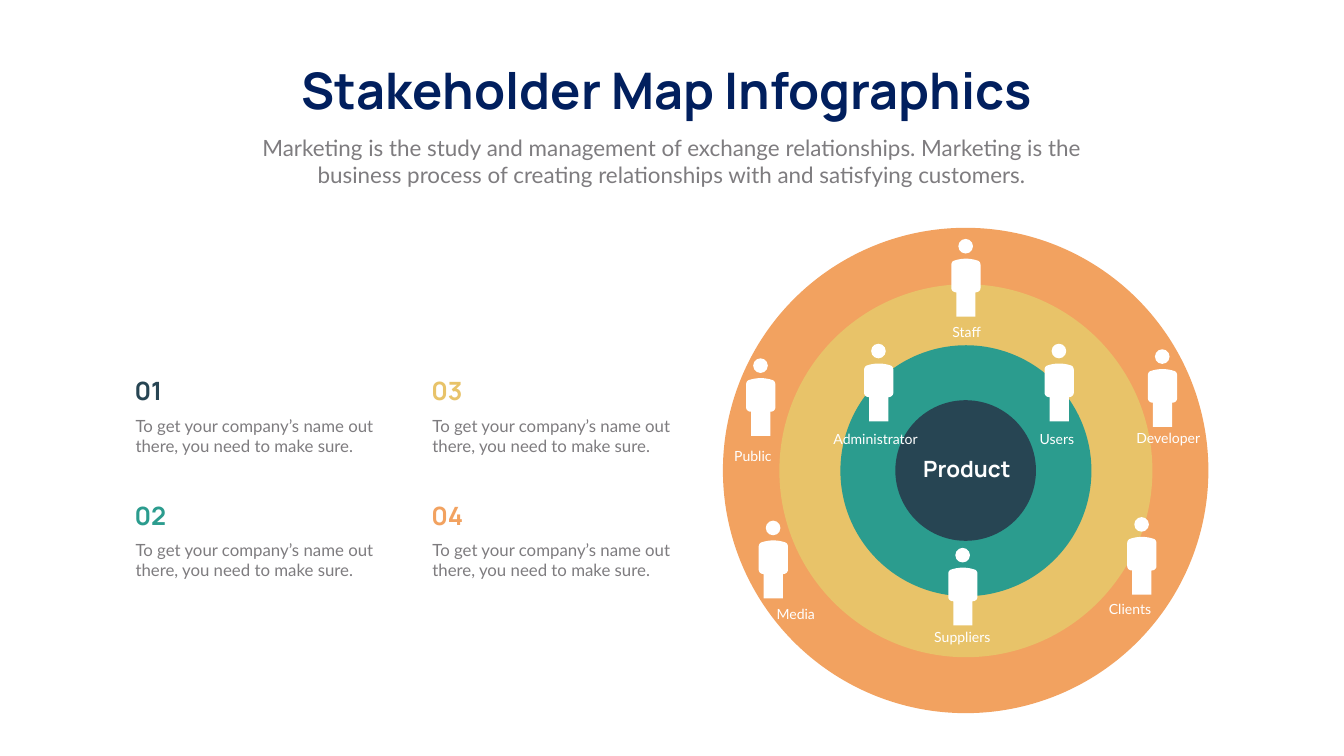
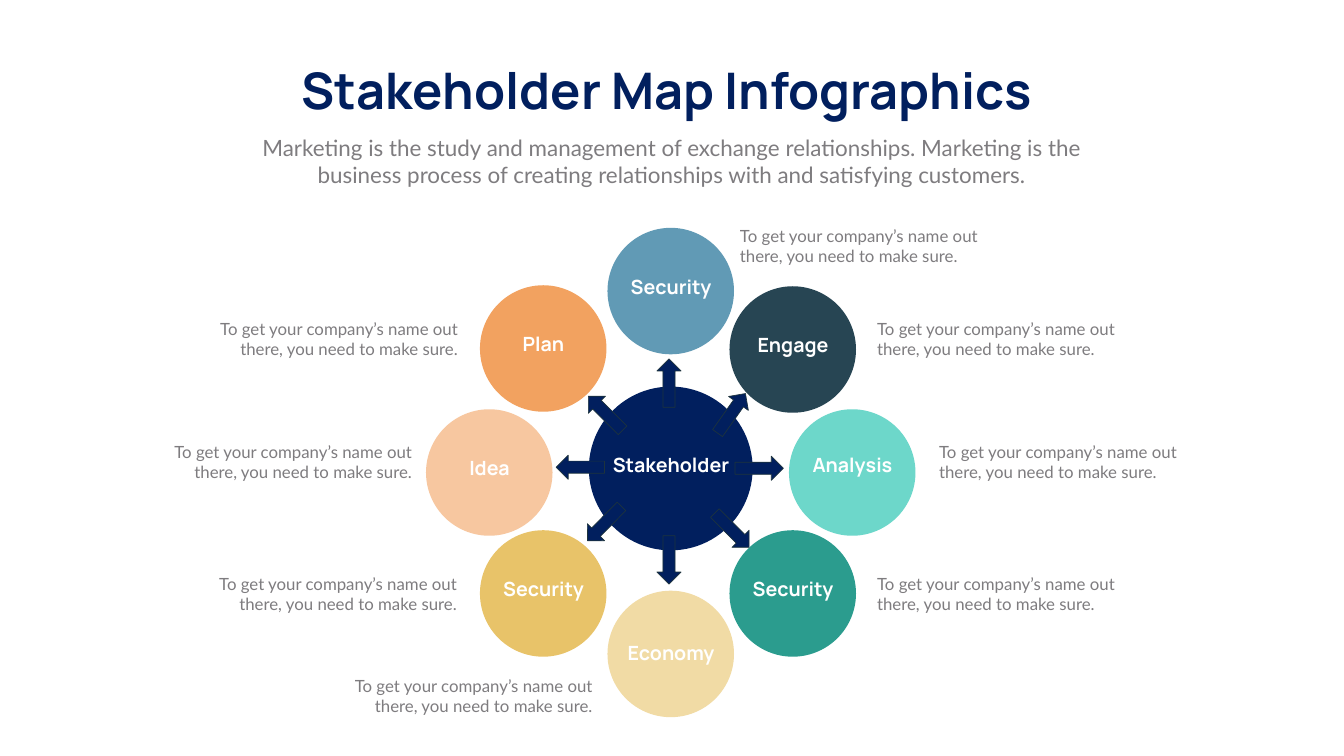
from dataclasses import dataclass, replace
from typing import Any, Optional

from pptx import Presentation
from pptx import util as u
from pptx.dml.color import RGBColor
from pptx.enum import shapes, text

PX = 9144

NAVY = RGBColor(0x01, 0x1F, 0x5E)
SLATE = RGBColor(0x27, 0x45, 0x53)
TEAL = RGBColor(0x2B, 0x9C, 0x8E)
GOLD = RGBColor(0xE8, 0xC3, 0x69)
ORANGE = RGBColor(0xF2, 0xA2, 0x60)
BLUE = RGBColor(0x61, 0x9A, 0xB5)
SAND = RGBColor(0xF1, 0xDB, 0xA5)
MINT = RGBColor(0x6D, 0xD7, 0xCA)
PEACH = RGBColor(0xF7, 0xC7, 0xA0)
GREY = RGBColor(0x7E, 0x7C, 0x7F)
WHITE = RGBColor(0xFF, 0xFF, 0xFF)
ARROW_EDGE = RGBColor(0x1D, 0x33, 0x3D)

LEFT, CENTER, RIGHT = text.PP_ALIGN.LEFT, text.PP_ALIGN.CENTER, text.PP_ALIGN.RIGHT
OVAL = shapes.MSO_SHAPE.OVAL


@dataclass(frozen=True)
class Style:
    font: str
    size: int
    colour: RGBColor
    bold: bool = False
    align: Any = CENTER


@dataclass(frozen=True)
class Stakeholder:
    name: str
    body_left: int
    body_top: int
    label_left: int
    label_top: int
    label_width: int = 111


@dataclass(frozen=True)
class Arm:
    name: str
    colour: RGBColor
    left: int
    top: int
    label_top: int
    arrow_left: int
    arrow_top: int
    arrow_turn: float
    note_left: int
    note_top: int


TITLE = Style("Manrope", 72, NAVY, bold=True)
SUBTITLE = Style("Lato", 32, GREY)
NOTE = Style("Lato", 24, GREY, align=LEFT)
NUMBER = Style("Manrope", 36, SLATE, bold=True, align=LEFT)
PERSON_LABEL = Style("Lato", 20, WHITE)
PRODUCT = Style("Manrope", 32, WHITE, bold=True)
CIRCLE_LABEL = Style("Manrope", 28, WHITE, bold=True)

TITLE_TEXT = "Stakeholder Map Infographics "
SUBTITLE_TEXT = (
    "Marketing is the study and management of exchange relationships. "
    "Marketing is the business process of creating relationships with "
    "and satisfying customers."
)
NOTE_TEXT = "To get your company’s name out there, you need to make sure."

RING_CENTER = (1916, 934)
RINGS = [(963, ORANGE), (740, GOLD), (498, TEAL), (279, SLATE)]
NUMBER_COLOURS = [SLATE, TEAL, GOLD, ORANGE]

BODY_START = (52, 4)
BODY_SEGMENTS = [
    [(37, -1), (21, -1), (6, 4)],
    [(2, 5), (0, 9), (0, 13)],
    [(0, 58)],
    [(0, 63), (4, 67), (10, 67)],
    [(10, 115)],
    [(48, 115)],
    [(48, 67)],
    [(54, 67), (58, 63), (58, 58)],
    [(58, 13)],
    [(58, 9), (56, 5), BODY_START],
]
CURVE_STEPS = 10

STAKEHOLDERS = [
    Stakeholder("Public", 1480, 750, 1438, 882),
    Stakeholder("Media", 1505, 1072, 1523, 1196),
    Stakeholder("Administrator", 1714, 721, 1634, 849, 206),
    Stakeholder("Users", 2072, 721, 2041, 849),
    Stakeholder("Staff", 1887, 513, 1862, 637),
    Stakeholder("Suppliers", 1881, 1126, 1826, 1243, 166),
    Stakeholder("Developer", 2277, 732, 2237, 847, 161),
    Stakeholder("Clients", 2236, 1065, 2186, 1187),
]

HUB_LEFT, HUB_TOP, HUB_SIZE = 1168, 767, 325
ARM_SIZE = 251
LABEL_WIDTH = 326
ARMS = [
    Arm("Security", BLUE, 1205, 452, 540, 1303, 712, 180, 1458, 443),
    Arm("Engage", SLATE, 1447, 568, 656, 1427, 772, 215.2, 1730, 627),
    Arm("Analysis", MINT, 1565, 812, 894, 1482, 881, 270, 1853, 871),
    Arm("Security", TEAL, 1447, 1052, 1140, 1428, 1004, 315, 1730, 1134),
    Arm("Economy", SAND, 1205, 1172, 1267, 1303, 1063, 0, 688, 1336),
    Arm("Security", GOLD, 952, 1052, 1140, 1175, 991, 44.6, 419, 1134),
    Arm("Idea", PEACH, 845, 812, 899, 1127, 879, 90, 330, 871),
    Arm("Plan", ORANGE, 952, 566, 654, 1177, 772, 135, 421, 627),
]


def px(length: float) -> u.Emu:
    return u.Emu(round(length * PX))


def paint(shape: Any, fill: RGBColor, edge: Optional[RGBColor] = None) -> None:
    shape.shadow.inherit = False
    shape.fill.solid()
    shape.fill.fore_color.rgb = fill
    if edge is None:
        shape.line.fill.background()
    else:
        shape.line.color.rgb = edge
        shape.line.width = u.Pt(1)


def add_preset(parent: Any, kind: Any, left: int, top: int, width: int, height: int,
               fill: RGBColor, edge: Optional[RGBColor] = None) -> Any:
    shape = parent.add_shape(kind, px(left), px(top), px(width), px(height))
    paint(shape, fill, edge)
    return shape


def add_circle(parent: Any, left: int, top: int, size: int, fill: RGBColor) -> None:
    add_preset(parent, OVAL, left, top, size, size, fill)


def add_text(slide: Any, wording: str, left: int, top: int, width: int, height: int,
             style: Style, wrap: bool = True) -> None:
    box = slide.shapes.add_textbox(px(left), px(top), px(width), px(height))
    frame = box.text_frame
    frame.word_wrap = wrap
    frame.auto_size = text.MSO_AUTO_SIZE.SHAPE_TO_FIT_TEXT
    paragraph = frame.paragraphs[0]
    paragraph.text = wording
    paragraph.alignment = style.align
    paragraph.font.name = style.font
    paragraph.font.size = u.Pt(style.size)
    paragraph.font.bold = style.bold
    paragraph.font.color.rgb = style.colour


def add_note(slide: Any, left: int, top: int, align: Any = LEFT) -> None:
    add_text(slide, NOTE_TEXT, left, top, 497, 91, replace(NOTE, align=align))


def add_headed_slide(deck: Any) -> Any:
    slide = deck.slides.add_slide(deck.slide_layouts[6])
    add_text(slide, TITLE_TEXT, 530, 112, 1606, 131, TITLE, wrap=False)
    add_text(slide, SUBTITLE_TEXT, 458, 261, 1749, 118, SUBTITLE)
    return slide


def body_outline() -> list[tuple[float, float]]:
    points: list[tuple[float, float]] = [BODY_START]
    for segment in BODY_SEGMENTS:
        if len(segment) == 1:
            points.append(segment[0])
            continue
        corners = [points[-1], *segment]
        for step in range(1, CURVE_STEPS + 1):
            t = step / CURVE_STEPS
            weights = ((1 - t) ** 3, 3 * t * (1 - t) ** 2, 3 * t * t * (1 - t), t ** 3)
            points.append((sum(w * x for w, (x, _) in zip(weights, corners)),
                           sum(w * y for w, (_, y) in zip(weights, corners))))
    return points


def add_person(slide: Any, left: int, top: int) -> None:
    person = slide.shapes.add_group_shape().shapes
    start, *others = [(px(x), px(y)) for x, y in body_outline()]
    builder = person.build_freeform(*start, scale=1.0)
    builder.add_line_segments(others, close=True)
    paint(builder.convert_to_shape(px(left), px(top)), WHITE)
    add_circle(person, left + 14, top - 39, 29, WHITE)


def build_ring_map(deck: Any) -> None:
    slide = add_headed_slide(deck)
    rings = slide.shapes.add_group_shape().shapes
    center_x, center_y = RING_CENTER
    for size, colour in RINGS:
        radius = (size + 1) // 2
        add_circle(rings, center_x - radius, center_y - radius, size, colour)
    for person in STAKEHOLDERS:
        add_person(slide, person.body_left, person.body_top)
        add_text(slide, person.name, person.label_left, person.label_top,
                 person.label_width, 44, PERSON_LABEL)
    add_text(slide, "Product", 1757, 898, 322, 64, PRODUCT)
    for index, colour in enumerate(NUMBER_COLOURS):
        column, row = divmod(index, 2)
        left, top = 257 + 589 * column, 740 + 247 * row
        add_text(slide, f"{index + 1:02}", left, top, 326, 71,
                 replace(NUMBER, colour=colour))
        add_note(slide, left + 2, top + 79)


def build_hub_map(deck: Any) -> None:
    slide = add_headed_slide(deck)
    add_circle(slide.shapes, HUB_LEFT, HUB_TOP, HUB_SIZE, NAVY)
    add_text(slide, "Stakeholder", HUB_LEFT, 894, LABEL_WIDTH, 57, CIRCLE_LABEL)
    for arm in ARMS:
        add_circle(slide.shapes, arm.left, arm.top, ARM_SIZE, arm.colour)
        label_left = arm.left - (LABEL_WIDTH - ARM_SIZE) // 2
        add_text(slide, arm.name, label_left, arm.label_top, LABEL_WIDTH, 57, CIRCLE_LABEL)
    for arm in ARMS:
        arrow = add_preset(slide.shapes, shapes.MSO_SHAPE.DOWN_ARROW, arm.arrow_left,
                           arm.arrow_top, 48, 96, NAVY, ARROW_EDGE)
        arrow.rotation = arm.arrow_turn
        add_note(slide, arm.note_left, arm.note_top,
                 RIGHT if arm.note_left < HUB_LEFT else LEFT)


def main() -> None:
    deck = Presentation()
    deck.slide_width, deck.slide_height = px(2666), px(1500)
    build_ring_map(deck)
    build_hub_map(deck)
    deck.save("out.pptx")


if __name__ == "__main__":
    main()
